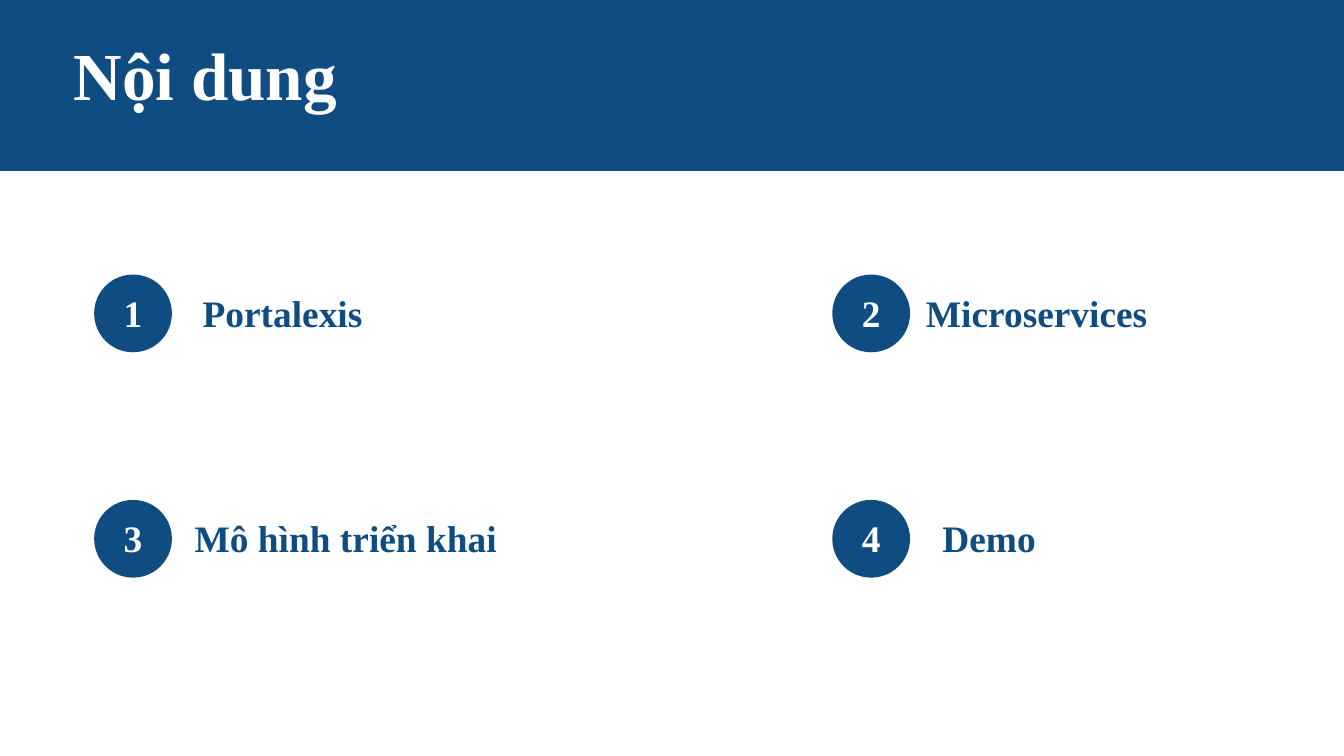
import pptx
import pptx.dml.color
import pptx.enum.shapes
import pptx.enum.text
import pptx.util
from dataclasses import dataclass

Cm = pptx.util.Cm
Shape = pptx.enum.shapes.MSO_SHAPE
Align = pptx.enum.text.PP_ALIGN


@dataclass(frozen=True)
class Theme:
    blue: str = "0F4C82"
    white: str = "FFFFFF"
    font: str = "Times New Roman"
    title: int = 36
    item: int = 20


THEME = Theme()


def rgb(code):
    return pptx.dml.color.RGBColor.from_string(code)


def add_fill(slide, kind, left, top, width, height):
    shape = slide.shapes.add_shape(kind, Cm(left), Cm(top), Cm(width), Cm(height))
    shape.shadow.inherit = False
    shape.fill.solid()
    shape.fill.fore_color.rgb = rgb(THEME.blue)
    shape.line.fill.background()


def add_text(slide, text, left, top, width, height, size, color, align=Align.LEFT):
    box = slide.shapes.add_textbox(Cm(left), Cm(top), Cm(width), Cm(height))
    frame = box.text_frame
    frame.word_wrap = False
    frame.auto_size = pptx.enum.text.MSO_AUTO_SIZE.SHAPE_TO_FIT_TEXT
    frame.text = text
    line = frame.paragraphs[0]
    line.alignment = align
    font = line.runs[0].font
    font.name, font.size, font.bold = THEME.font, pptx.util.Pt(size), True
    font.color.rgb = rgb(color)


def add_header(slide, left, top, width, height):
    add_fill(slide, Shape.RECTANGLE, left, top, width, height)
    add_text(slide, "Nội dung", left + 1.14, top + 0.54, 6.35, 1.8,
             THEME.title, THEME.white)


def add_item(slide, number, label, left, top, size, shift, width):
    # Numbered disc
    add_fill(slide, Shape.OVAL, left, top, size, size)
    wide, high = 0.91, 1.13
    text_top = top + (size - high) / 2
    add_text(slide, str(number), left + (size - wide) / 2, text_top, wide, high,
             THEME.item, THEME.white, Align.CENTER)
    # Topic beside it
    add_text(slide, label, left + shift, text_top, width, high,
             THEME.item, THEME.blue)


def add_agenda(slide, left, top, width, height):
    # Topic, its offset from the disc's left edge, and its width
    topics = [
        ("Portalexis", 1.8, 4.7),
        ("Microservices", 1.52, 4.7),
        ("Mô hình triển khai", 1.65, 7.19),
        ("Demo", 1.83, 2.54),
    ]
    size, cols = 1.47, 2
    for i, (label, shift, wide) in enumerate(topics):
        row, col = divmod(i, cols)
        add_item(slide, i + 1, label, left + col * (width - size),
                 top + row * (height - size), size, shift, wide)


def main():
    deck = pptx.Presentation()
    deck.slide_width, deck.slide_height = Cm(25.4), Cm(14.29)
    slide = deck.slides.add_slide(deck.slide_layouts[6])
    add_header(slide, 0, -0.03, 25.4, 3.26)
    add_agenda(slide, 1.78, 5.19, 15.42, 5.73)
    deck.save("out.pptx")


if __name__ == "__main__":
    main()
